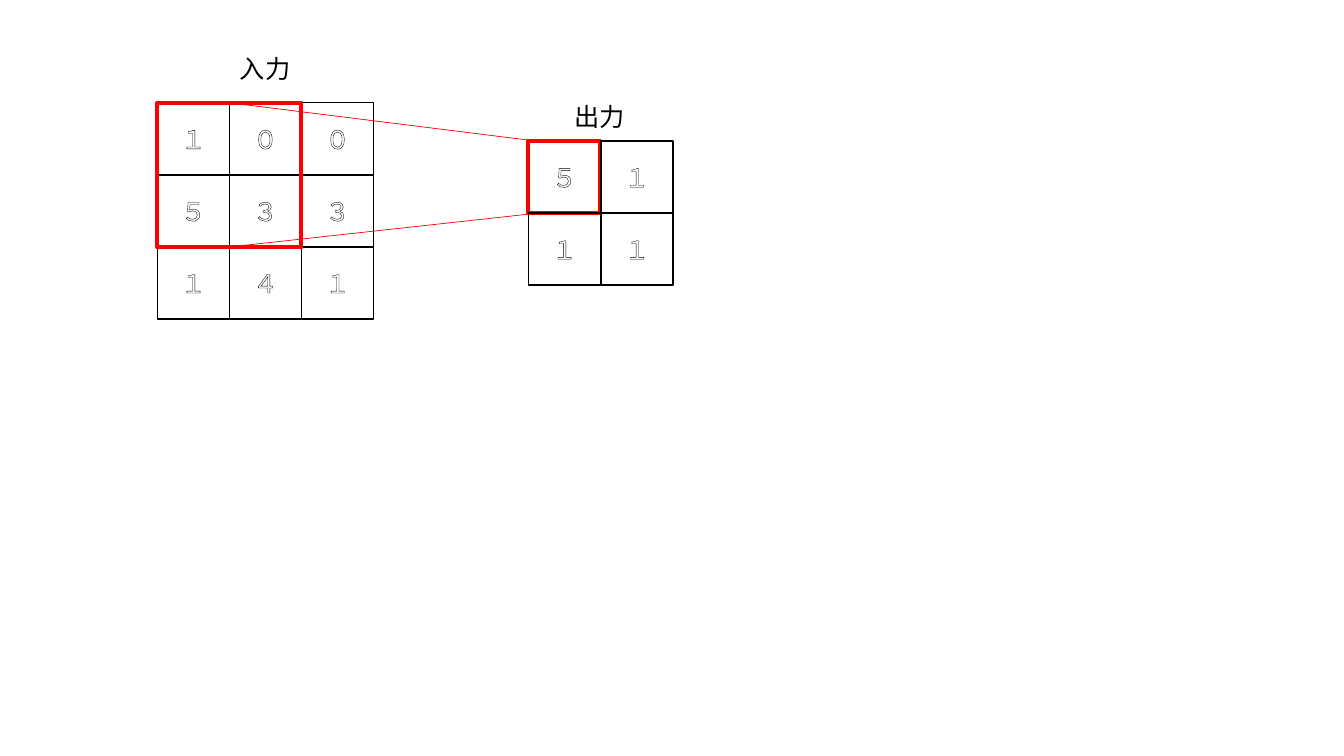
"""Build a slide showing a 2x2 pooling window over a 3x3 input."""
from lxml import etree
from pptx import Presentation, util as u
from pptx.dml.color import RGBColor
from pptx.enum import shapes, text
from pptx.oxml.ns import qn

COLORS = {"ink": "000000", "paper": "FFFFFF", "window": "FF0000"}
FONT = "Noto Sans CJK JP"
WINDOW = 1.43
CELL = WINDOW / 2
INPUT = {"rows": ["100", "533", "141"], "at": (1.56, 1.02), "pitch": CELL, "marked": None}
OUTPUT = {"rows": ["51", "11"], "at": (5.24, 1.4), "pitch": 0.72, "marked": (0, 0)}
LABELS = [("入力", 2.28, 0.48), ("出力", 5.6, 0.96)]
FULLWIDTH_ZERO = 0xFF10


def rgb(name):
    return RGBColor.from_string(COLORS[name])


def add_run(p, words, color, outlined=False):
    r = p.add_run()
    r.text = words
    r.font.size, r.font.name = u.Pt(18), FONT
    r.font.color.rgb = rgb(color)
    props = r.font._element
    etree.SubElement(props, qn("a:ea")).set("typeface", FONT)
    if outlined:
        ln = etree.Element(qn("a:ln"), w=str(u.Pt(0.75)))
        fill = etree.SubElement(ln, qn("a:solidFill"))
        etree.SubElement(fill, qn("a:srgbClr")).set("val", COLORS["ink"])
        props.insert(0, ln)


def add_square(s, x, y, size, color, weight, digit=None):
    sp = s.shapes.add_shape(shapes.MSO_SHAPE.RECTANGLE, *map(u.Inches, (x, y, size, size)))
    sp.shadow.inherit = False
    sp.fill.background()
    sp.line.color.rgb, sp.line.width = rgb(color), u.Pt(weight)
    if digit:
        tf = sp.text_frame
        tf.vertical_anchor = text.MSO_ANCHOR.MIDDLE
        p = tf.paragraphs[0]
        p.alignment = text.PP_ALIGN.CENTER
        add_run(p, chr(FULLWIDTH_ZERO + int(digit)), "paper", outlined=True)


def add_grid(s, grid):
    left, top = grid["at"]
    for row, digits in enumerate(grid["rows"]):
        for col, digit in enumerate(digits):
            style = ("window", 3) if (row, col) == grid["marked"] else ("ink", 1)
            add_square(s, left + col * grid["pitch"], top + row * CELL, CELL, *style, digit)


def add_ray(s, start, end):
    line = s.shapes.add_connector(shapes.MSO_CONNECTOR.STRAIGHT, *map(u.Inches, start + end))
    line.line.color.rgb, line.line.width = rgb("window"), u.Pt(0.5)
    etree.SubElement(line._element.spPr, qn("a:effectLst"))


def add_label(s, words, x, y):
    sp = s.shapes.add_textbox(*map(u.Inches, (x, y, 1.22, 0.4)))
    tf = sp.text_frame
    tf.word_wrap = True
    tf.auto_size = text.MSO_AUTO_SIZE.SHAPE_TO_FIT_TEXT
    add_run(tf.paragraphs[0], words, "ink")


prs = Presentation()
prs.slide_width, prs.slide_height = u.Inches(13.33), u.Inches(7.5)
s = prs.slides.add_slide(prs.slide_layouts[6])

left, top = INPUT["at"]
out_left, out_top = OUTPUT["at"]
add_grid(s, INPUT)
add_square(s, left, top, WINDOW, "window", 3)
add_ray(s, (left + CELL, top), (out_left, out_top - 0.01))
add_grid(s, OUTPUT)
add_ray(s, (left + CELL, top + WINDOW), (out_left, out_top + CELL + 0.01))
for label in LABELS:
    add_label(s, *label)

prs.save("out.pptx")
